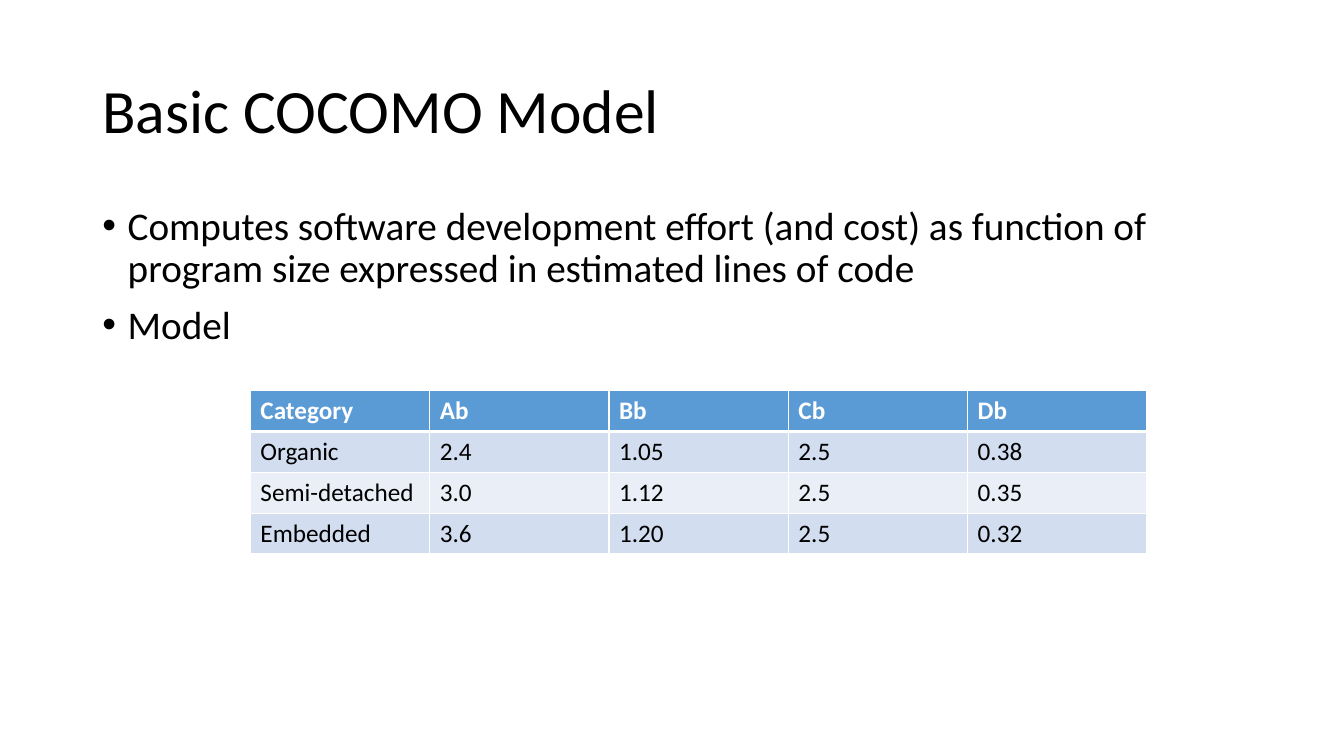
import dataclasses

import lxml.etree
import pptx
import pptx.dml.color
import pptx.enum.text
import pptx.oxml.ns
import pptx.util

Cm = pptx.util.Cm
Pt = pptx.util.Pt
qn = pptx.oxml.ns.qn


@dataclasses.dataclass(frozen=True)
class Theme:
    """Colours, font and type sizes of the deck."""
    font: str = "Calibri"
    ink: str = "000000"
    paper: str = "FFFFFF"
    header: str = "5B9BD5"
    bands: tuple = ("D2DEEF", "EAEFF7")
    title_size: int = 44
    body_size: int = 28
    table_size: int = 18
    thin: int = 1
    thick: int = 3


class SlideBuilder:
    """Draws styled elements on the current page."""

    def __init__(self, theme, page):
        self.theme = theme
        self.page = page

    def add_span(self, para, text, size, color, bold=False):
        span = para.add_run()
        span.text = text
        span.font.name = self.theme.font
        span.font.size = Pt(size)
        span.font.bold = bold
        span.font.color.rgb = pptx.dml.color.RGBColor.from_string(color)

    def text_frame(self, left, top, width, height):
        box = self.page.shapes.add_textbox(Cm(left), Cm(top), Cm(width), Cm(height))
        box.text_frame.word_wrap = True
        return box.text_frame

    def title(self, text, *place):
        frame = self.text_frame(*place)
        frame.vertical_anchor = pptx.enum.text.MSO_ANCHOR.MIDDLE
        para = frame.paragraphs[0]
        para.line_spacing = 0.9
        self.add_span(para, text, self.theme.title_size, self.theme.ink)

    def bullets(self, items, *place):
        frame = self.text_frame(*place)
        for index, item in enumerate(items):
            para = frame.add_paragraph() if index else frame.paragraphs[0]
            para.line_spacing = 0.9
            para.space_before = Pt(10)
            properties = para._p.get_or_add_pPr()
            properties.set("marL", str(Cm(0.64)))
            properties.set("indent", str(-Cm(0.64)))
            lxml.etree.SubElement(properties, qn("a:buFont"), typeface="Arial")
            lxml.etree.SubElement(properties, qn("a:buChar"), char="•")
            self.add_span(para, item, self.theme.body_size, self.theme.ink)

    def border(self, cell, side, weight):
        line = lxml.etree.SubElement(
            cell._tc.get_or_add_tcPr(), qn(f"a:ln{side}"), w=str(Pt(weight)))
        fill = lxml.etree.SubElement(line, qn("a:solidFill"))
        lxml.etree.SubElement(fill, qn("a:srgbClr"), val=self.theme.paper)

    def cell(self, cell, text, row):
        theme = self.theme
        heading = row == 0
        thick_side = {0: "B", 1: "T"}.get(row)
        for side in "LRTB":
            self.border(cell, side, theme.thick if side == thick_side else theme.thin)
        color = theme.header if heading else theme.bands[(row - 1) % 2]
        cell.fill.solid()
        cell.fill.fore_color.rgb = pptx.dml.color.RGBColor.from_string(color)
        self.add_span(cell.text_frame.paragraphs[0], text, theme.table_size,
                      theme.paper if heading else theme.ink, heading)

    def table(self, rows, left, top, column_width, row_height):
        count = len(rows[0])
        table = self.page.shapes.add_table(
            len(rows), count, Cm(left), Cm(top),
            Cm(column_width * count), Cm(row_height * len(rows))).table
        for column in table.columns:
            column.width = Cm(column_width)
        for row, values in enumerate(rows):
            table.rows[row].height = Cm(row_height)
            for column, value in enumerate(values):
                self.cell(table.cell(row, column), value, row)


def main():
    deck = pptx.Presentation()
    deck.slide_width, deck.slide_height = Cm(33.87), Cm(19.05)
    page = deck.slides.add_slide(deck.slide_layouts[6])
    builder = SlideBuilder(Theme(), page)
    builder.title("Basic COCOMO Model", 2.33, 1.01, 29.21, 3.68)
    builder.bullets([
        "Computes software development effort (and cost) as function of "
        "program size expressed in estimated lines of code",
        "Model",
    ], 2.33, 5.08, 29.21, 12.09)
    builder.table([
        ("Category", "Ab", "Bb", "Cb", "Db"),
        ("Organic", "2.4", "1.05", "2.5", "0.38"),
        ("Semi-detached", "3.0", "1.12", "2.5", "0.35"),
        ("Embedded", "3.6", "1.20", "2.5", "0.32"),
    ], left=6.31, top=9.84, column_width=4.52, row_height=1.03)
    deck.save("out.pptx")


if __name__ == "__main__":
    main()
